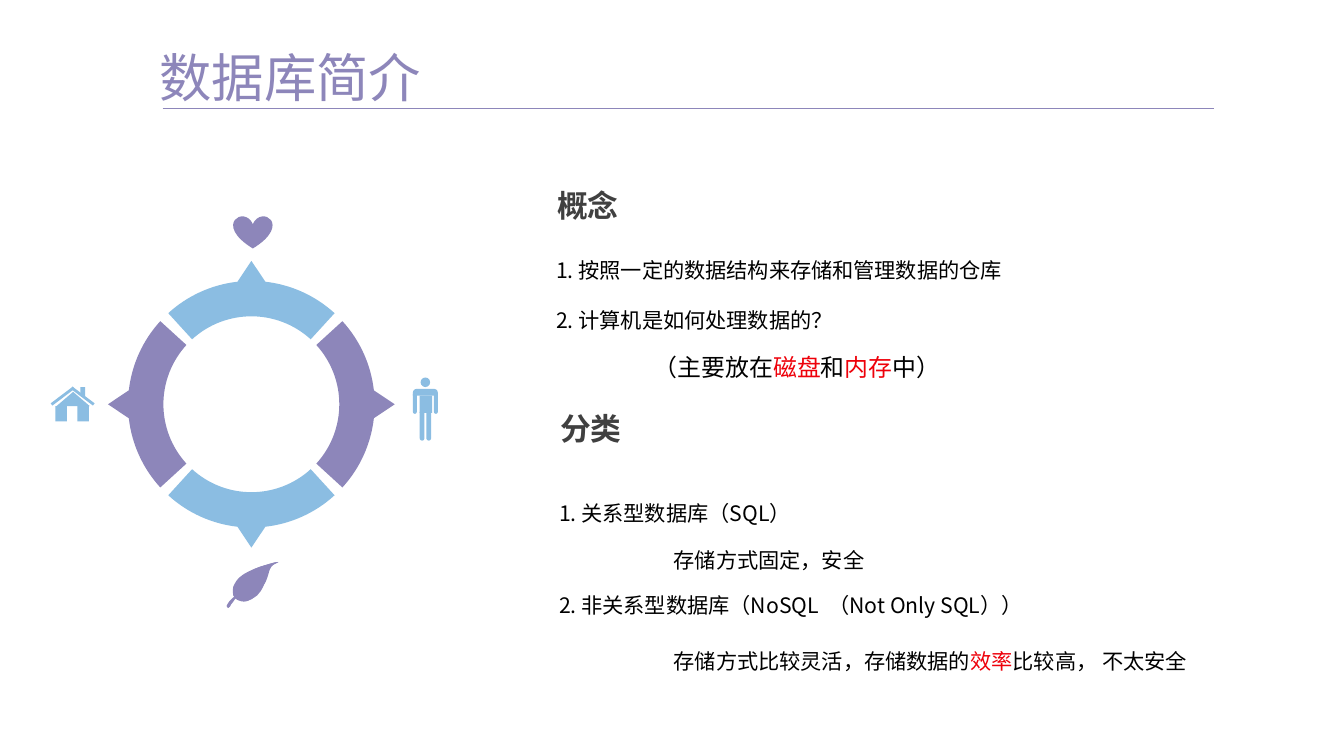
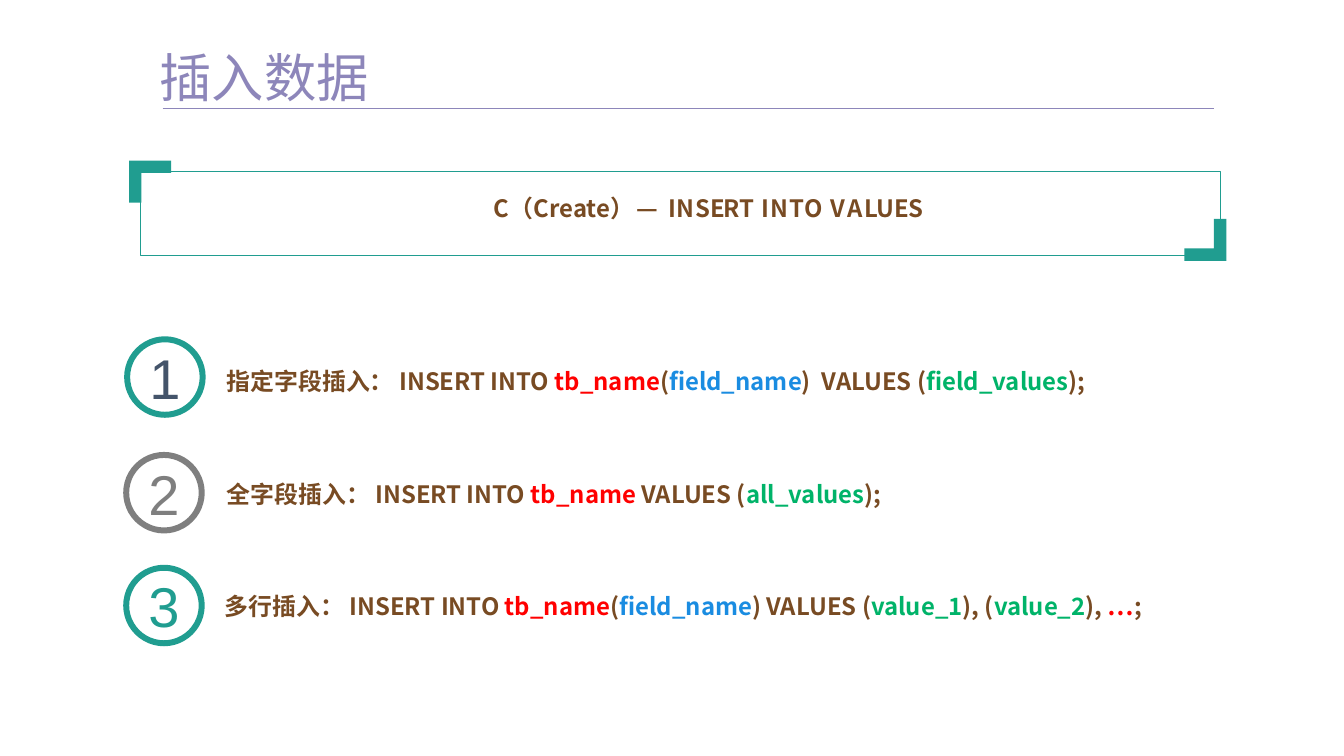
import math
import pptx
import pptx.util
import pptx.dml.color
import pptx.enum.shapes
import pptx.enum.text
import pptx.oxml.ns
from lxml import etree

Inches, Pt = pptx.util.Inches, pptx.util.Pt
SHAPE = pptx.enum.shapes.MSO_SHAPE
ALIGN = pptx.enum.text.PP_ALIGN
ANCHOR = pptx.enum.text.MSO_ANCHOR
FIT = pptx.enum.text.MSO_AUTO_SIZE.SHAPE_TO_FIT_TEXT
qn = pptx.oxml.ns.qn

C = {
    "purple": "8D86BA", "sky": "8BBDE2", "teal": "209D90", "gray": "7F7F7F",
    "slate": "44546A", "heading": "404040", "black": "000000", "accent": "EE000A",
    "brown": "784B23", "red": "FF0000", "blue": "1A8CE1", "green": "00B369",
    "white": "FFFFFF",
}
CJK = "Noto Sans CJK SC"

TITLE = {"size": 39.4, "color": "purple"}
HEADING = {"size": 23.2, "bold": True, "color": "heading"}
BODY = {"size": 16, "color": "black"}
NOTE = {"size": 18, "color": "black"}
CODE = {"size": 18, "bold": True, "color": "brown"}

HEADINGS = [
    ((5.72, 1.91, 0.87, 0.5), "概念"),
    ((5.75, 4.24, 0.87, 0.5), "分类"),
]
LINES = [
    ((5.75, 6.15, 7.25, 0.37), ["2. 非关系型数据库（NoSQL  （Not Only SQL））"]),
    ((5.72, 2.64, 6.54, 0.37), ["1. 按照一定的数据结构来存储和管理数据的仓库"]),
    ((5.72, 3.17, 6.38, 0.37), ["2. 计算机是如何处理数据的？"]),
    ((5.75, 5.19, 6.62, 0.37), ["1. 关系型数据库（SQL）"]),
    ((6.95, 5.68, 5.64, 0.37), ["存储方式固定，安全"]),
    ((6.95, 6.73, 5.64, 0.37),
     ["存储方式比较灵活，存储数据的", ("效率", "accent"), "比较高， 不太安全"]),
]
MEMORY_NOTE = ["（主要放在", ("磁盘", "accent"), "和", ("内存", "accent"), "中）"]

RING = {"cx": 2.63, "cy": 4.23, "outer": 1.29, "inner": 0.92, "tip": 1.5}
RING_TURNS = [(0, "purple"), (180, "purple"), (90, "sky"), (270, "sky")]

R2 = (SHAPE.ROUND_2_SAME_RECTANGLE, (0.5, 0))
RECT = (SHAPE.RECTANGLE, ())
PERSON = [
    ((SHAPE.OVAL, ()), (4.4, 3.95, 0.1, 0.1), 0),
    (R2, (4.32, 4.07, 0.26, 0.07), 0),
    (RECT, (4.39, 4.14, 0.13, 0.18), 0),
    (R2, (4.39, 4.31, 0.05, 0.3), 180),
    (R2, (4.46, 4.31, 0.05, 0.3), 180),
    (R2, (4.32, 4.12, 0.04, 0.21), 180),
    (R2, (4.54, 4.12, 0.04, 0.21), 180),
]
HOUSE = [
    (RECT, (0.51, 4.13, 0.29, 0.03), 323),
    (RECT, (0.72, 4.13, 0.29, 0.03), 37),
    ((SHAPE.ISOSCELES_TRIANGLE, ()), (0.59, 4.1, 0.35, 0.15), 0),
    (RECT, (0.58, 4.25, 0.12, 0.16), 0),
    (RECT, (0.81, 4.25, 0.12, 0.16), 0),
    ((SHAPE.SNIP_1_RECTANGLE, (0.5,)), (0.84, 4.05, 0.05, 0.1), 180),
]
LEAF = [
    [[(2.44, 6.23)],
     [(2.44, 6.21), (2.43, 6.19), (2.44, 6.14)], [(2.46, 6.09), (2.49, 6.05), (2.52, 6.03)],
     [(2.55, 6), (2.66, 5.95), (2.72, 5.93)], [(2.78, 5.91), (2.88, 5.88), (2.9, 5.88)],
     [(2.92, 5.88), (2.86, 5.9), (2.85, 5.91)], [(2.84, 5.92), (2.83, 5.93), (2.82, 5.96)],
     [(2.8, 6), (2.78, 6.08), (2.76, 6.12)], [(2.73, 6.17), (2.71, 6.2), (2.68, 6.23)],
     [(2.65, 6.26), (2.61, 6.28), (2.58, 6.29)], [(2.54, 6.3), (2.51, 6.29), (2.49, 6.28)],
     [(2.47, 6.27), (2.45, 6.26), (2.44, 6.23)]],
    [[(2.48, 6.23)],
     [(2.47, 6.25), (2.44, 6.3), (2.42, 6.32)], [(2.41, 6.34), (2.4, 6.36), (2.39, 6.36)],
     [(2.39, 6.37), (2.37, 6.35), (2.37, 6.34)], [(2.37, 6.33), (2.39, 6.31), (2.4, 6.29)],
     [(2.42, 6.27), (2.46, 6.23), (2.47, 6.23)], [(2.48, 6.22), (2.49, 6.22), (2.48, 6.23)]],
    [[(2.91, 5.88)],
     [(2.93, 5.88), (2.87, 5.9), (2.86, 5.91)], [(2.84, 5.92), (2.84, 5.93), (2.82, 5.96)],
     [(2.81, 6), (2.79, 6.08), (2.76, 6.12)], [(2.74, 6.17), (2.72, 6.2), (2.69, 6.23)],
     [(2.63, 6.27)], [(2.58, 6.29)], [(2.54, 6.29)], [(2.63, 5.97)], [(2.67, 5.95)],
     [(2.69, 5.94), (2.71, 5.94), (2.72, 5.93)], [(2.79, 5.91), (2.88, 5.88), (2.91, 5.88)]],
    [[(2.46, 6.23)],
     [(2.47, 6.21), (2.53, 6.14), (2.56, 6.11)], [(2.6, 6.08), (2.66, 6.04), (2.66, 6.04)],
     [(2.67, 6.03), (2.62, 6.07), (2.59, 6.1)], [(2.57, 6.13), (2.53, 6.17), (2.51, 6.19)],
     [(2.49, 6.21), (2.48, 6.24), (2.47, 6.25)], [(2.46, 6.25), (2.44, 6.25), (2.46, 6.23)]],
]

BANNER = "C（Create）— INSERT INTO VALUES"
LETTER_WIDTHS = {
    0.08: " I", 0.1: "rt", 0.13: "L", 0.14: "aE", 0.15: "eST", 0.16: "V", 0.17: "CR",
    0.19: "AU", 0.2: "O", 0.21: "N", 0.25: "（）", 0.27: "—",
}
TABLE, FIELD = ("tb_name", "red"), ("field_name", "blue")
STATEMENTS = [
    ((1.33, 3.55), "teal", "slate", (2.37, 3.92, 9.79, 0.22),
     ["指定字段插入： INSERT INTO ", TABLE, "(", FIELD, ")  VALUES (",
      ("field_values", "green"), ");"]),
    ((1.32, 4.76), "gray", "gray", (2.37, 5.1, 9.79, 0.22),
     ["全字段插入： INSERT INTO ", TABLE, " VALUES (", ("all_values", "green"), ");"]),
    ((1.32, 5.94), "teal", "teal", (2.35, 6.28, 10.44, 0.22),
     ["多行插入： INSERT INTO ", TABLE, "(", FIELD, ") VALUES (", ("value_1", "green"),
      "), (", ("value_2", "green"), "), ", ("…", "red"), ";"]),
]


def rgb(name):
    return pptx.dml.color.RGBColor.from_string(C[name])


def write(tf, runs, fmt, font=CJK, align=ALIGN.LEFT, spacing=None):
    p = tf.paragraphs[0]
    p.alignment = align
    if spacing:
        p.line_spacing = Pt(spacing)
    for run in runs:
        text, color = run if isinstance(run, tuple) else (run, fmt["color"])
        r = p.add_run()
        r.text = text
        values = {"name": font, "size": Pt(fmt["size"]), "bold": fmt.get("bold", False)}
        for key, value in values.items():
            setattr(r.font, key, value)
        r.font.color.rgb = rgb(color)
        etree.SubElement(r.font._element, qn("a:ea")).set("typeface", font)


def set_frame(tf, margins=(0, 0), **values):
    x, y = (Inches(m) for m in margins)
    values = {"margin_left": x, "margin_right": x, "margin_top": y,
              "margin_bottom": y, "word_wrap": True, **values}
    for key, value in values.items():
        setattr(tf, key, value)


def add_text(s, box, runs, fmt, margins=(0.1, 0.05), wrap=True,
             anchor=ANCHOR.TOP, **layout):
    tf = s.shapes.add_textbox(*map(Inches, box)).text_frame
    set_frame(tf, margins, word_wrap=wrap, auto_size=FIT, vertical_anchor=anchor)
    write(tf, runs, fmt, **layout)


def paint(sp, fill=None, line=None, width=0):
    sp.shadow.inherit = False
    if fill:
        sp.fill.solid()
        sp.fill.fore_color.rgb = rgb(fill)
    else:
        sp.fill.background()
    if line:
        sp.line.color.rgb = rgb(line)
        sp.line.width = Pt(width)
    else:
        sp.line.fill.background()
    return sp


def add_preset(shapes, kind, box, **look):
    return paint(shapes.add_shape(kind, *map(Inches, box)), **look)


def add_outline(shapes, segments, fill):
    first, *rest = [(Inches(x), Inches(y)) for segment in segments for x, y in segment]
    builder = shapes.build_freeform(*first, scale=1.0)
    builder.add_line_segments(rest, close=True)
    sp = paint(builder.convert_to_shape(), fill)
    lines = iter(list(sp._element.iter(qn("a:lnTo"))))
    for segment in segments[1:]:
        steps = [next(lines) for _ in segment]
        if len(steps) == 3:
            bezier = etree.Element(qn("a:cubicBezTo"))
            steps[0].addprevious(bezier)
            for step in steps:
                bezier.append(step[0])
                step.getparent().remove(step)


def add_icon(s, parts, fill):
    group = s.shapes.add_group_shape()
    for (kind, adjustments), box, rotation in parts:
        sp = add_preset(group.shapes, kind, box, fill=fill)
        for i, value in enumerate(adjustments):
            sp.adjustments[i] = value
        sp.rotation = rotation


def ring_segment(turn, half=42.4, base=6.5):
    def at(radius, degrees):
        a = math.radians(turn + degrees)
        return RING["cx"] + radius * math.cos(a), RING["cy"] + radius * math.sin(a)

    def arc(radius, start, end):
        sweep = math.radians(end - start)
        k = 4 / 3 * math.tan(sweep / 4)
        lean, reach = math.degrees(math.atan(k)), radius * math.hypot(1, k)
        return [at(reach, start + lean), at(reach, end - lean), at(radius, end)]

    outer, inner = RING["outer"], RING["inner"]
    return [[at(outer, -half)], arc(outer, -half, -base), [at(RING["tip"], 0)],
            [at(outer, base)], arc(outer, base, half), [at(inner, half)],
            arc(inner, half, -half)]


def add_slide(prs, title):
    s = prs.slides.add_slide(prs.slide_layouts[6])
    add_text(s, (1.67, 0.47, 3.24, 0.66), [title], TITLE, margins=(0, 0))
    rule = s.shapes.add_connector(
        pptx.enum.shapes.MSO_CONNECTOR.STRAIGHT,
        Inches(1.7), Inches(1.13), Inches(12.7), Inches(1.13))
    rule.line.color.rgb = rgb("purple")
    rule.line.width = Pt(0.5)
    etree.SubElement(rule._element.spPr, qn("a:effectLst"))
    return s


def build_intro(prs):
    s = add_slide(prs, "数据库简介")
    for box, runs in LINES:
        add_text(s, box, runs, BODY)
    for turn, color in RING_TURNS:
        add_outline(s.shapes, ring_segment(turn), color)
    add_preset(s.shapes, SHAPE.HEART, (2.44, 2.26, 0.41, 0.34), fill="purple")
    add_icon(s, PERSON, "sky")
    add_icon(s, HOUSE, "sky")
    leaf = s.shapes.add_group_shape()
    for segments in LEAF:
        add_outline(leaf.shapes, segments, "purple")
    for box, text in HEADINGS:
        add_text(s, box, [text], HEADING, margins=(0.11, 0.05), wrap=False)
    add_text(s, (6.74, 3.64, 3.23, 0.4), MEMORY_NOTE, NOTE, wrap=False)


def build_insert(prs):
    s = add_slide(prs, "插入数据")
    add_preset(s.shapes, SHAPE.RECTANGLE, (1.47, 1.79, 11.3, 0.88), line="teal", width=0.25)
    arm, thick = 0.44, 0.13
    bracket = [(0, 0), (arm, 0), (arm, thick), (thick, thick), (thick, arm), (0, arm)]
    for x, y, sign in ((1.35, 1.68, 1), (12.83, 2.73, -1)):
        add_outline(s.shapes, [[(x + sign * dx, y + sign * dy)] for dx, dy in bracket], "teal")
    for number, (spot, ring, digit, box, runs) in enumerate(STATEMENTS, 1):
        sp = add_preset(s.shapes, SHAPE.OVAL, (*spot, 0.79, 0.79),
                        fill="white", line=ring, width=4.5)
        set_frame(sp.text_frame, vertical_anchor=ANCHOR.MIDDLE)
        write(sp.text_frame, [str(number)], {"size": 42.2, "color": digit},
              font="Arial", align=ALIGN.CENTER)
        add_text(s, box, runs, CODE, margins=(0, 0), anchor=ANCHOR.MIDDLE, spacing=15)
    widths = {letter: w for w, letters in LETTER_WIDTHS.items() for letter in letters}
    x = 5.16
    for letter in BANNER:
        if letter != " ":
            add_text(s, (x, 2.03, widths[letter], 0.3), [letter], CODE,
                     margins=(0, 0), align=ALIGN.CENTER)
        x += widths[letter]


def main():
    prs = pptx.Presentation()
    prs.slide_width, prs.slide_height = Inches(14.06), Inches(7.91)
    build_intro(prs)
    build_insert(prs)
    prs.save("out.pptx")


if __name__ == "__main__":
    main()
